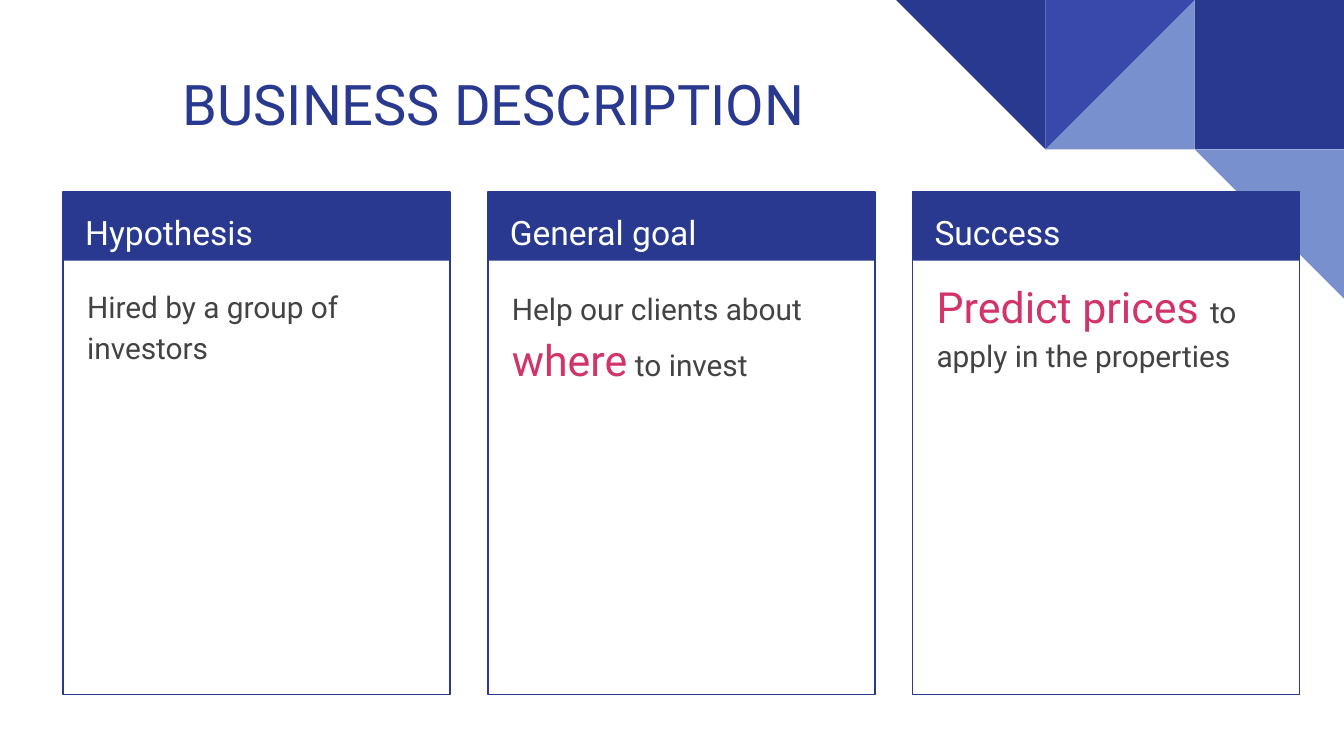
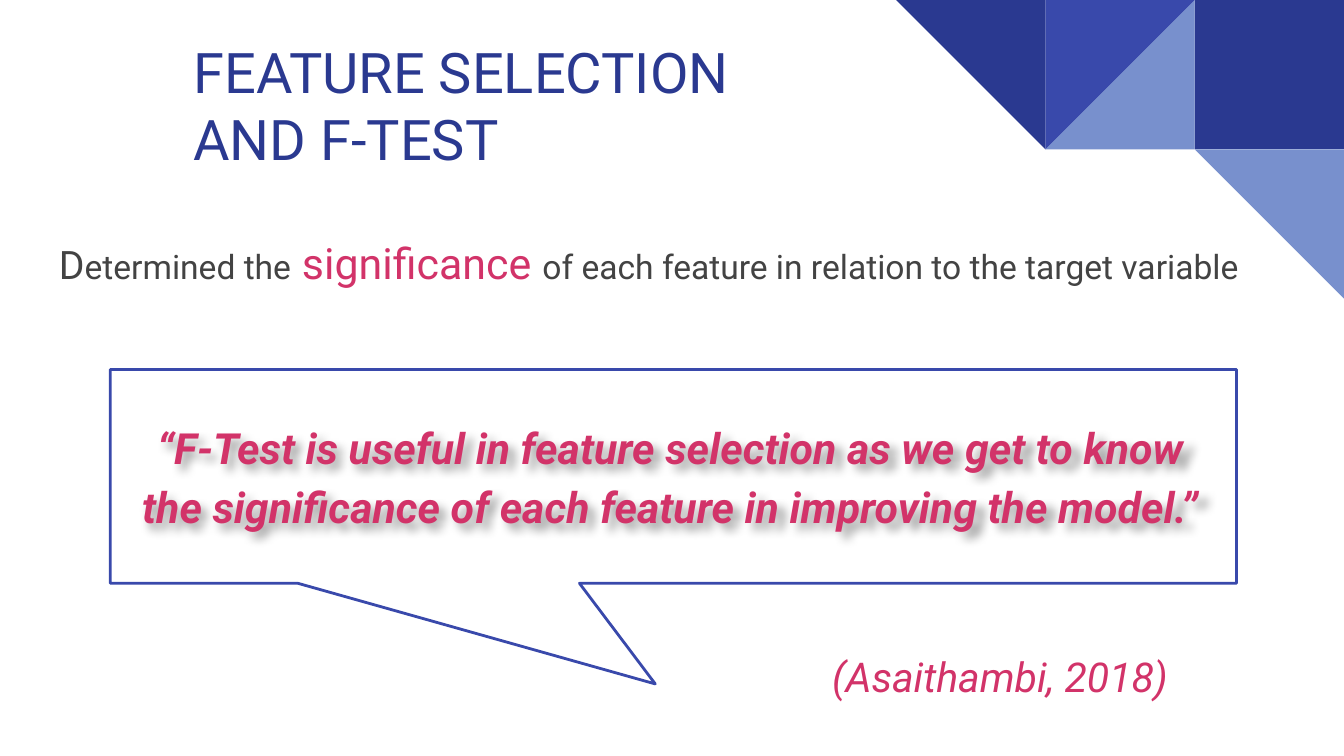
from lxml.etree import SubElement
from pptx import Presentation
from pptx.dml.color import RGBColor
from pptx.enum.shapes import MSO_SHAPE
from pptx.enum.text import MSO_ANCHOR, PP_ALIGN
from pptx.oxml.ns import qn
from pptx.util import Inches, Pt

COLORS = {
    "navy": "2A3990",
    "indigo": "3949AB",
    "sky": "7890CD",
    "pink": "D23369",
    "gray": "434343",
    "white": "FFFFFF",
    "black": "000000",
}
COLUMNS = 100
TILE = COLUMNS / 9
TILES = [
    (8, 0, "navy", MSO_SHAPE.RECTANGLE, 0, False),
    (7, 0, "sky", MSO_SHAPE.RIGHT_TRIANGLE, 0, True),
    (7, 0, "indigo", MSO_SHAPE.RIGHT_TRIANGLE, 180, True),
    (6, 0, "navy", MSO_SHAPE.RIGHT_TRIANGLE, 180, False),
    (8, 1, "sky", MSO_SHAPE.RIGHT_TRIANGLE, 180, False),
]
CARDS = [
    ("Hypothesis", 20.1, [("Hired by a group of investors", 16, "gray")]),
    ("General goal", 20.2, [
        ("Help our clients about ", 16, "gray"),
        ("where", 23, "pink"),
        (" to invest", 16, "gray"),
    ]),
    ("Success", 19.3, [
        ("Predict prices ", 23, "pink"),
        ("to apply in the properties", 16, "gray"),
    ]),
]


class Deck:
    font = "Roboto"

    def __init__(self):
        self.presentation = Presentation()
        self.presentation.slide_width = Inches(10)
        self.presentation.slide_height = Inches(5.625)
        self.cell = self.presentation.slide_width / COLUMNS
        self.slide = None

    def place(self, *cells):
        return [round(cell * self.cell) for cell in cells]

    def color(self, name):
        return RGBColor.from_string(COLORS[name])

    def new_slide(self):
        layout = self.presentation.slide_layouts[6]
        self.slide = self.presentation.slides.add_slide(layout)
        for column, row, color, kind, rotation, flipped in TILES:
            tile = self.shape(kind, (column * TILE, row * TILE, TILE, TILE), fill=color)
            tile.rotation = rotation
            if flipped:
                tile._element.spPr.xfrm.set("flipH", "1")

    def shape(self, kind, box, fill=None, line=None, width=0.75):
        shape = self.slide.shapes.add_shape(kind, *self.place(*box))
        shape.shadow.inherit = False
        if fill:
            shape.fill.solid()
            shape.fill.fore_color.rgb = self.color(fill)
        else:
            shape.fill.background()
        if line:
            shape.line.color.rgb = self.color(line)
            shape.line.width = Pt(width)
        else:
            shape.line.fill.background()
        return shape

    def text(self, box, paragraphs, spacing=1.15, align=PP_ALIGN.LEFT,
             anchor=MSO_ANCHOR.TOP, bold=False, italic=False):
        shape = self.slide.shapes.add_textbox(*self.place(*box))
        frame = shape.text_frame
        frame.word_wrap = True
        frame.vertical_anchor = anchor
        frame.margin_left = frame.margin_right = Inches(0.1)
        frame.margin_top = frame.margin_bottom = Inches(0.1)
        for index, runs in enumerate(paragraphs):
            paragraph = frame.add_paragraph() if index else frame.paragraphs[0]
            paragraph.alignment = align
            paragraph.line_spacing = spacing
            paragraph.font.name = self.font
            paragraph.font.bold = bold
            paragraph.font.italic = italic
            for words, size, color in runs:
                run = paragraph.add_run()
                run.text = words
                run.font.size = Pt(size)
                run.font.color.rgb = self.color(color)
        return shape

    def title(self, box, *lines):
        self.text(box, [[(line, 30, "navy")] for line in lines],
                  spacing=1.0, anchor=MSO_ANCHOR.MIDDLE)

    def card(self, left, heading, body_top, runs):
        top, width = 14.3, 28.8
        self.shape(MSO_SHAPE.RECTANGLE, (left, top, width, 5.1), fill="navy")
        self.shape(MSO_SHAPE.RECTANGLE, (left, top, width, 37.4), line="navy")
        self.text((left + 0.65, top, 27.3, 5), [[(heading, 18, "white")]])
        self.text((left + 0.8, body_top, 27.1, 30.6), [runs])

    def cast_shadow(self, shape):
        effects = SubElement(shape._element.spPr, qn("a:effectLst"))
        shadow = SubElement(effects, qn("a:outerShdw"), blurRad="57150",
                            dist="57150", dir="2700000", algn="bl", rotWithShape="0")
        color = SubElement(shadow, qn("a:srgbClr"), val=COLORS["black"])
        SubElement(color, qn("a:alpha"), val="40000")

    def save(self):
        self.presentation.save("out.pptx")


def business_description(deck):
    deck.new_slide()
    for index, card in enumerate(CARDS):
        deck.card(4.7 + index * 31.6, *card)
    deck.title((12.6, 4.4, 58.9, 6.6), "BUSINESS DESCRIPTION")


def feature_selection(deck):
    deck.new_slide()
    deck.title((13.4, 4.5, 54.2, 6.6), "FEATURE SELECTION", "AND F-TEST")
    deck.text((3.4, 16, 93.2, 6.6), [[
        ("D", 21, "gray"),
        ("etermined the", 18, "gray"),
        (" significance ", 23, "pink"),
        ("of each feature in relation to the target variable", 18, "gray"),
    ]])
    quote = deck.text((9.1, 29.8, 81.7, 17), [[(
        "“F-Test is useful in feature selection as we get to know "
        "the significance of each feature in improving the model.”", 23, "pink",
    )]], align=PP_ALIGN.CENTER, bold=True, italic=True)
    deck.cast_shadow(quote)
    callout = deck.shape(MSO_SHAPE.ROUNDED_RECTANGULAR_CALLOUT,
                         (8.2, 27.5, 83.8, 15.9), line="indigo", width=1.5)
    for index, value in enumerate((-0.016, 0.971, 0)):
        callout.adjustments[index] = value
    deck.text((58, 46.9, 32.8, 5.7), [[("(Asaithambi, 2018)", 22, "pink")]],
              align=PP_ALIGN.CENTER, italic=True)


def main():
    deck = Deck()
    business_description(deck)
    feature_selection(deck)
    deck.save()


if __name__ == "__main__":
    main()
